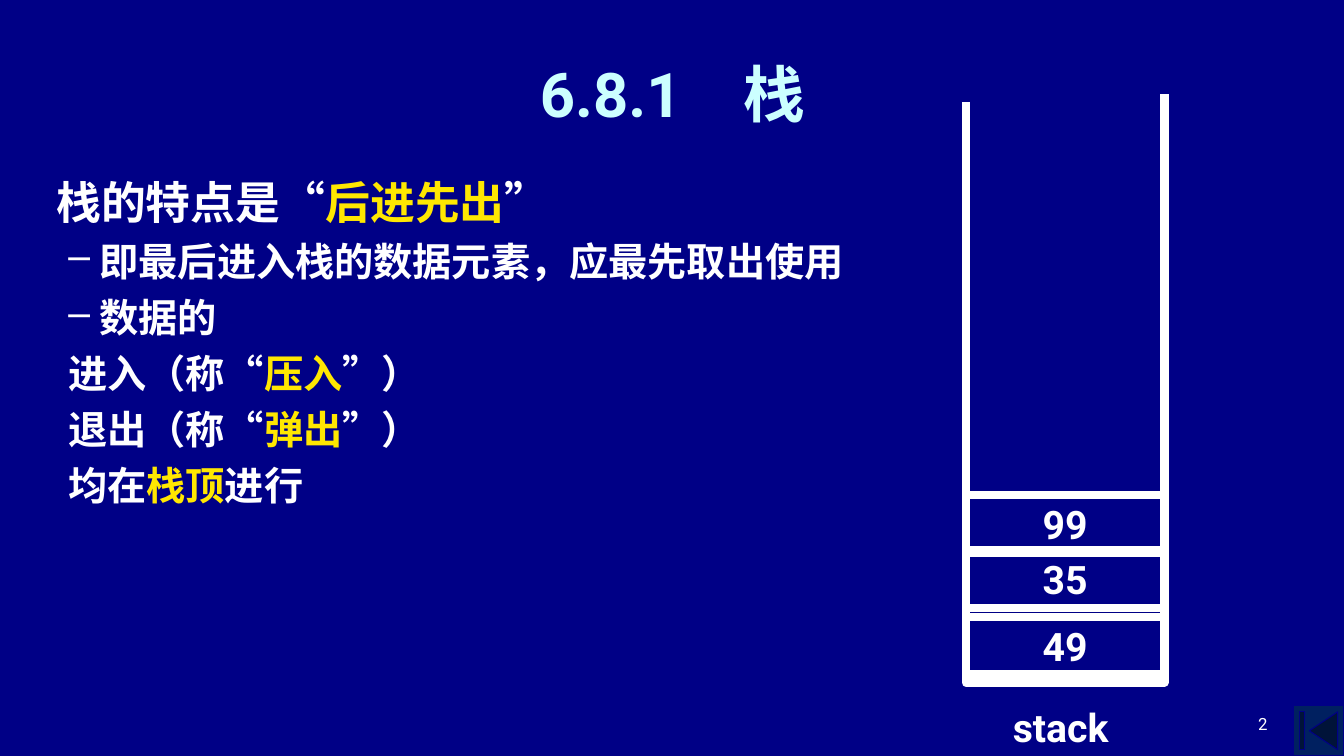
"""Build the slide on the stack, with its rules and a drawn example."""
from typing import NamedTuple

from lxml.etree import SubElement
from pptx import Presentation
from pptx.dml.color import RGBColor
from pptx.enum.shapes import MSO_SHAPE
from pptx.enum.text import MSO_ANCHOR, PP_ALIGN
from pptx.oxml.ns import qn
from pptx.util import Pt

PX = 9144
FONT = "Roboto"
NAVY = RGBColor(0x00, 0x00, 0x86)
BLUE = RGBColor(0x00, 0x20, 0x60)
WHITE = RGBColor(0xFF, 0xFF, 0xFF)
CYAN = RGBColor(0xCC, 0xFF, 0xFF)
YELLOW = RGBColor(0xFF, 0xE7, 0x01)


class Run(NamedTuple):
    """A stretch of text in one colour."""
    text: str
    color: RGBColor = WHITE
    gap: int = 0


class Line(NamedTuple):
    """A paragraph, with its indent in px."""
    runs: list[Run]
    size: int = 28
    left: int = 0
    hang: int = 0
    align: PP_ALIGN = PP_ALIGN.LEFT
    bold: bool = True


class Box(NamedTuple):
    """A rectangle in px."""
    left: int
    top: int
    width: int
    height: int

    def emu(self) -> list[int]:
        """Give the rectangle in EMU."""
        return [side * PX for side in self]


class Item(NamedTuple):
    """A value held in the stack, and the top of its cell."""
    value: str
    top: int


CELL = Box(958, 491, 197, 57)
BASE = 677
ITEMS = [Item("49", 612), Item("35", 546), Item("99", 491)]
RULES = [
    Line([Run("栈的特点是“"), Run("后进先出", YELLOW), Run("”")], 32, 38),
    Line([Run("即最后进入栈的数据元素，应最先取出使用")], left=81, hang=31),
    Line([Run("数据的")], left=81, hang=31),
    Line([Run("进入（称“"), Run("压入", YELLOW), Run("”）")], left=50),
    Line([Run("退出（称“"), Run("弹出", YELLOW), Run("”）")], left=50),
    Line([Run("均在"), Run("栈顶", YELLOW), Run("进行")], left=50),
]


def indent(para, line: Line) -> None:
    """Set the indent and, on a hanging line, the dash."""
    props = para._p.get_or_add_pPr()
    props.set("marL", str(line.left * PX))
    props.set("indent", str(-line.hang * PX))
    if line.hang:
        tint = SubElement(props, qn("a:buClr"))
        SubElement(tint, qn("a:srgbClr")).set("val", str(WHITE))
        SubElement(props, qn("a:buChar")).set("char", "–")
    else:
        SubElement(props, qn("a:buNone"))


def write(frame, lines: list[Line], anchor: MSO_ANCHOR = MSO_ANCHOR.TOP) -> None:
    """Fill a text frame line by line."""
    frame.word_wrap = True
    frame.vertical_anchor = anchor
    for rank, line in enumerate(lines):
        para = frame.add_paragraph() if rank else frame.paragraphs[0]
        indent(para, line)
        para.alignment = line.align
        para.space_before = Pt(6.5 if rank else 0)
        for part in line.runs:
            run = para.add_run()
            run.text = part.text
            run.font.name = FONT
            run.font.size = Pt(line.size)
            run.font.bold = line.bold
            run.font.color.rgb = part.color
            if part.gap:
                run.font._element.set("spc", str(part.gap * 100))


def label(slide, box: Box, lines: list[Line], anchor: MSO_ANCHOR = MSO_ANCHOR.TOP) -> None:
    """Add a text box."""
    write(slide.shapes.add_textbox(*box.emu()).text_frame, lines, anchor)


def outline(shape) -> None:
    """Give a shape a thick white edge and no fill."""
    shape.shadow.inherit = False
    shape.fill.background()
    shape.line.color.rgb = WHITE
    shape.line.width = Pt(6)


def centred(text: str) -> list[Line]:
    """Make one centred line."""
    return [Line([Run(text)], align=PP_ALIGN.CENTER)]


def button(slide) -> None:
    """Add the corner button."""
    shape = slide.shapes.add_shape(
        MSO_SHAPE.ACTION_BUTTON_BEGINNING, *Box(1283, 700, 50, 50).emu())
    shape.shadow.inherit = False
    shape.fill.solid()
    shape.fill.fore_color.rgb = BLUE
    shape.line.color.rgb = NAVY
    shape.line.width = Pt(0.75)


def stack(slide) -> None:
    """Draw the open vessel, its name and its cells."""
    right = CELL.left + CELL.width
    pen = slide.shapes.build_freeform(CELL.left, 101, scale=PX)
    pen.add_line_segments([(CELL.left, BASE), (right, BASE), (right, 93)], close=False)
    outline(pen.convert_to_shape())
    label(slide, Box(934, 693, 236, 57), centred("stack"))
    for item in ITEMS:
        cell = slide.shapes.add_shape(
            MSO_SHAPE.RECTANGLE, *CELL._replace(top=item.top).emu())
        outline(cell)
        write(cell.text_frame, centred(item.value))


def main() -> None:
    """Build and save the slide."""
    deck = Presentation()
    deck.slide_width, deck.slide_height = 1333 * PX, 750 * PX
    slide = deck.slides.add_slide(deck.slide_layouts[6])
    slide.background.fill.solid()
    slide.background.fill.fore_color.rgb = NAVY
    button(slide)
    number = Line([Run("2")], 12, align=PP_ALIGN.RIGHT, bold=False)
    label(slide, Box(956, 683, 311, 50), [number], MSO_ANCHOR.BOTTOM)
    title = Line([Run("6.8.1", CYAN), Run(" ", CYAN, 33), Run("栈", CYAN)],
                 44, align=PP_ALIGN.CENTER)
    label(slide, Box(67, 30, 1200, 125), [title], MSO_ANCHOR.MIDDLE)
    label(slide, Box(8, 168, 916, 357), RULES)
    stack(slide)
    deck.save("out.pptx")


if __name__ == "__main__":
    main()
